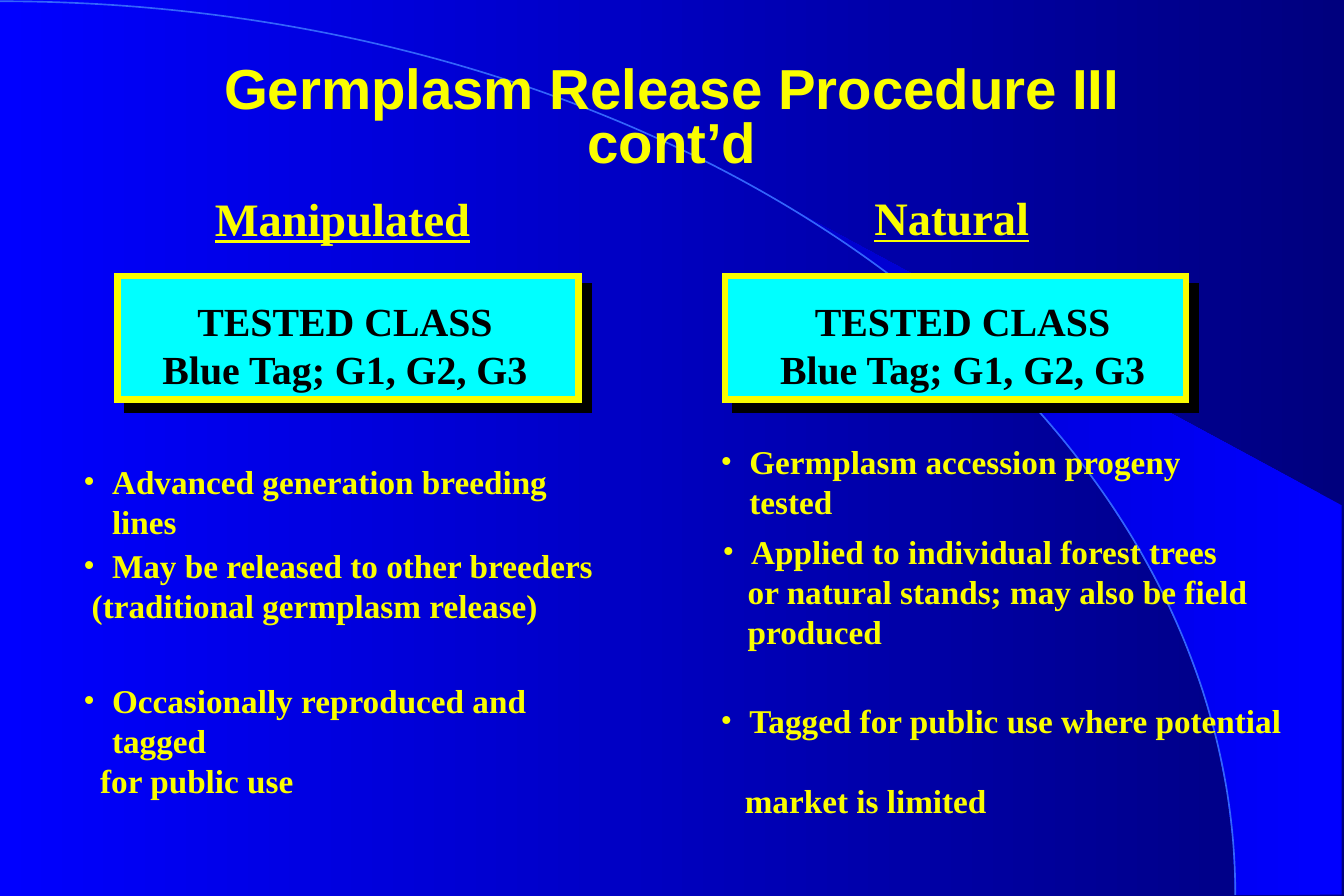
"""Builds the slide on germplasm release: manipulated versus natural tested class."""
from math import cos, radians, sin

from lxml.etree import SubElement
from pptx import Presentation
from pptx.dml.color import RGBColor
from pptx.enum.shapes import MSO_SHAPE as Shape
from pptx.enum.text import MSO_ANCHOR as Anchor, MSO_AUTO_SIZE as AutoSize, PP_ALIGN as Align
from pptx.oxml.ns import qn
from pptx.util import Inches, Pt

YELLOW = RGBColor(0xFA, 0xFD, 0x00)
CYAN = RGBColor(0x00, 0xFF, 0xFF)
BLACK = RGBColor(0x00, 0x00, 0x00)
NAVY = RGBColor(0x00, 0x00, 0x7E)
BLUE = RGBColor(0x00, 0x00, 0xFF)
MID_BLUE = RGBColor(0x00, 0x00, 0xCB)
ARC_BLUE = RGBColor(0x33, 0x65, 0xFB)
SERIF = "Times New Roman"

deck = Presentation()
deck.slide_width, deck.slide_height = Inches(11.25), Inches(7.5)
slide = deck.slides.add_slide(deck.slide_layouts[6])
COL, ROW = deck.slide_width / 100, deck.slide_height / 100


def place(left, top, width, height):
    return [round(n) for n in (left * COL, top * ROW, width * COL, height * ROW)]


def write(area, lines, size, color=YELLOW, align=Align.LEFT, face=SERIF, underline=None):
    frame = slide.shapes.add_textbox(*place(*area)).text_frame
    frame.word_wrap = True
    frame.auto_size = AutoSize.SHAPE_TO_FIT_TEXT
    for number, line in enumerate(lines):
        paragraph = frame.paragraphs[0] if number == 0 else frame.add_paragraph()
        paragraph.alignment = align
        for part_number, part in enumerate(line.split("\n")):
            if part_number:
                paragraph.add_line_break()
            run = paragraph.add_run()
            run.text = part
            font = run.font
            font.name, font.size, font.bold, font.underline = face, Pt(size), True, underline
            font.color.rgb = color
    return frame


backdrop = slide.background.fill
backdrop.gradient()

RADIUS_X, RADIUS_Y, CENTRE_Y = 91.91, 99.73, 99.87
angles = [radians(40 + 50 * step / 15) for step in range(16)]
wedge_points = [
    (RADIUS_X * sin(a) * COL, (CENTRE_Y - RADIUS_Y * cos(a)) * ROW) for a in angles
]
wedge_points += [(99.82 * COL, CENTRE_Y * ROW), (99.82 * COL, 56.4 * ROW)]
wedge_path = slide.shapes.build_freeform(*wedge_points[0])
wedge_path.add_line_segments(wedge_points[1:], close=True)
wedge = wedge_path.convert_to_shape()
wedge.shadow.inherit = False
wedge.line.fill.background()
wedge.fill.gradient()

for fill, ends in ((backdrop, (NAVY, BLUE)), (wedge.fill, (BLUE, MID_BLUE))):
    fill.gradient_angle = 180
    for stop, color, position in zip(fill.gradient_stops, ends, (0, 1)):
        stop.color.rgb = color
        stop.position = position

arc = slide.shapes.add_shape(
    Shape.ARC, *place(-RADIUS_X, CENTRE_Y - RADIUS_Y, 2 * RADIUS_X, 2 * RADIUS_Y))
arc.shadow.inherit = False
arc.fill.background()
arc.line.color.rgb = ARC_BLUE
arc.line.width = Pt(1)

title = write((5.6, 4.53, 88.8, 17.73), ["Germplasm Release Procedure III\ncont’d"],
              34, align=Align.CENTER, face="Arial")
title.auto_size = AutoSize.NONE
title.vertical_anchor = Anchor.MIDDLE
title.paragraphs[0].line_spacing = 0.8

write((15.11, 20.53, 31.91, 7.47), ["Manipulated"], 28, underline=True)
write((54.45, 20.48, 32.71, 7.47), ["Natural"], 28, align=Align.CENTER, underline=True)

for card_left, label_left in ((8.75, 11.05), (53.94, 57)):
    card = slide.shapes.add_shape(Shape.RECTANGLE, *place(card_left, 30.8, 34.31, 13.8))
    card.fill.solid()
    card.fill.fore_color.rgb = CYAN
    card.line.color.rgb = YELLOW
    card.line.width = Pt(4)
    SubElement(card.line._get_or_add_ln(), qn("a:miter"), lim="800000")
    card.shadow.inherit = False
    effects = card.element.spPr.find(qn("a:effectLst"))
    shadow = SubElement(effects, qn("a:outerShdw"), dist=str(Pt(8.5)), dir="2700000",
                        algn="ctr", rotWithShape="0")
    SubElement(shadow, qn("a:srgbClr"), val=str(BLACK))
    write((label_left, 32.45, 29.24, 12), ["TESTED CLASS", "Blue Tag; G1, G2, G3"],
          24, BLACK, Align.CENTER)

notes = [
    ((5.33, 50.8, 40.53, 5.73), 0, 0, ["Advanced generation breeding lines"]),
    ((5.33, 60.2, 47.64, 10.13), 0.62, 0,
     ["May be released to other breeders", "(traditional germplasm release)"]),
    ((5.33, 75.33, 41.16, 10.13), 1.25, 0,
     ["Occasionally reproduced and tagged", "for public use"]),
    ((52.75, 48.6, 41.6, 5.73), 0, 0, ["Germplasm accession progeny tested"]),
    ((52.89, 58.67, 41.6, 14.67), 1.87, 0,
     ["Applied to individual forest trees", "or natural stands; may also be field", "produced"]),
    ((52.75, 77.47, 44.71, 14.67), 1.8, 24.3,
     ["Tagged for public use where potential", "market is limited"]),
]
for area, indent, gap, lines in notes:
    first, *rest = write(area, lines, 20).paragraphs
    hang = round(2.13 * COL)
    bullet = first._p.get_or_add_pPr()
    bullet.set("marL", str(hang))
    bullet.set("indent", str(-hang))
    SubElement(SubElement(bullet, qn("a:buClr")), qn("a:srgbClr"), val=str(YELLOW))
    SubElement(bullet, qn("a:buFont"), typeface=SERIF)
    SubElement(bullet, qn("a:buChar"), char="•")
    for paragraph in rest:
        paragraph.space_before = Pt(gap)
        paragraph._p.get_or_add_pPr().set("marL", str(round(indent * COL)))

deck.save("out.pptx")
